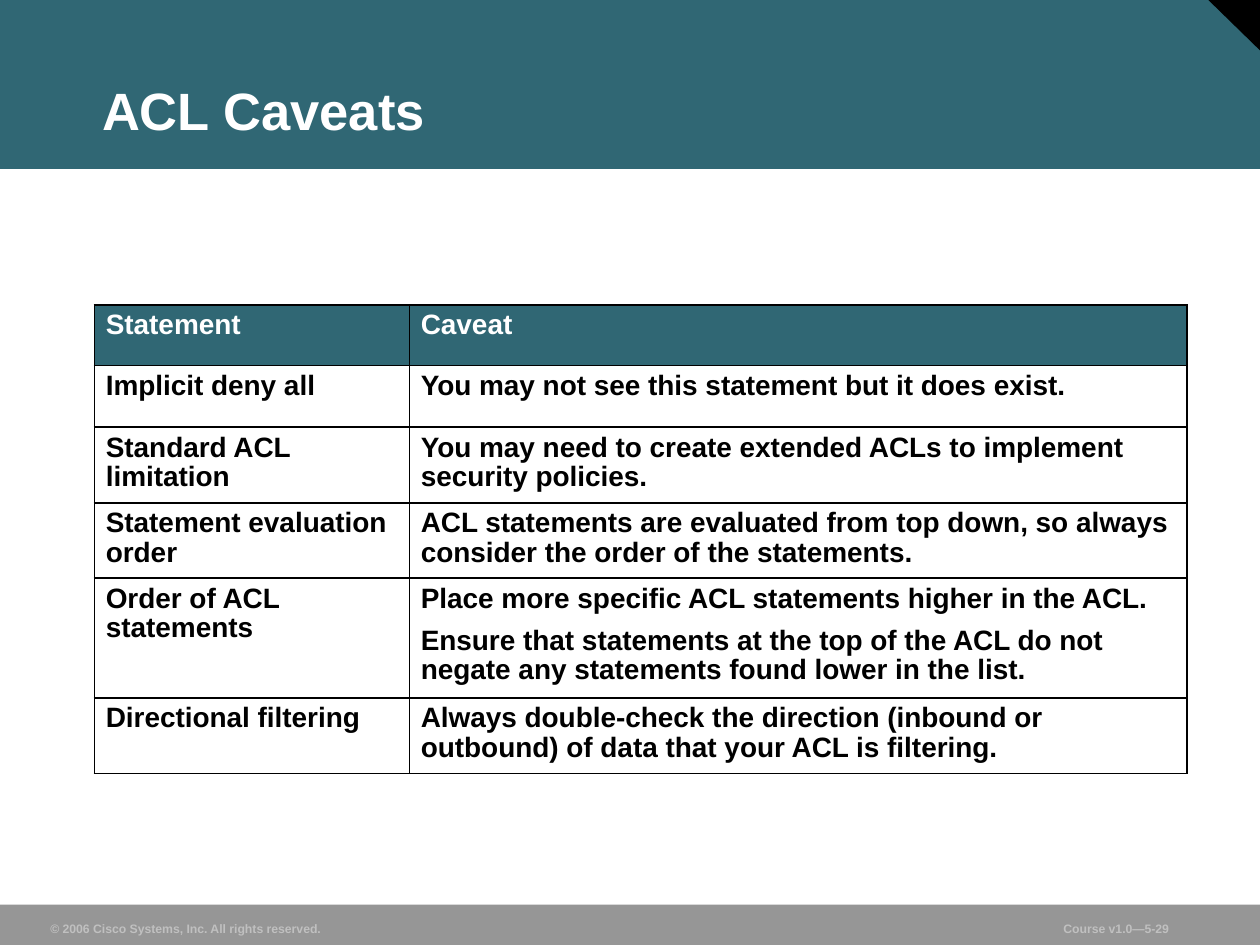
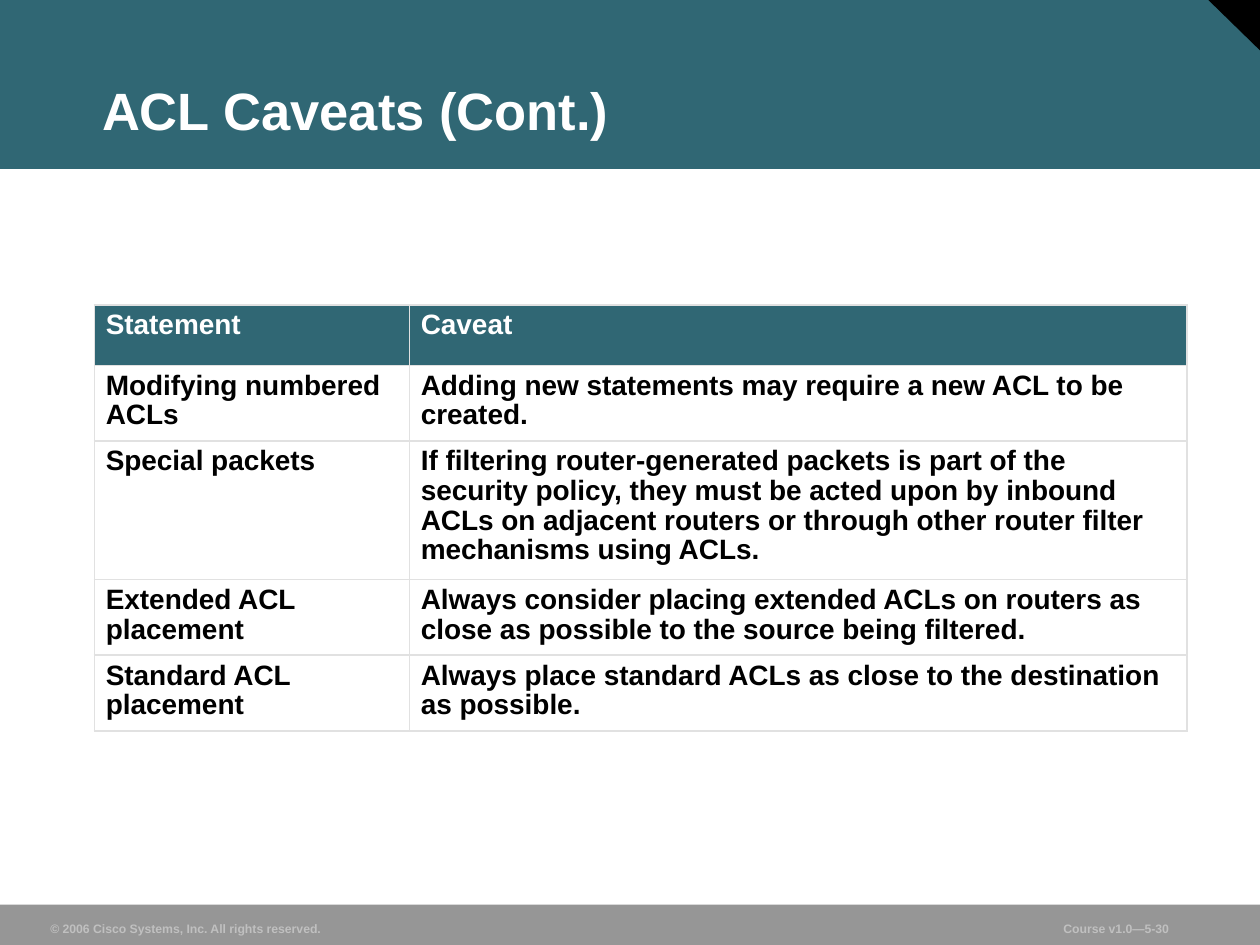
from dataclasses import dataclass

from lxml import etree
from pptx import Presentation
from pptx.dml.color import RGBColor as RGB
from pptx.enum.shapes import MSO_SHAPE as SHAPE
from pptx.enum.text import MSO_ANCHOR as ANCHOR, MSO_AUTO_SIZE as AUTO, PP_ALIGN as ALIGN
from pptx.oxml.ns import qn
from pptx.util import Inches, Pt


@dataclass(frozen=True)
class Theme:
    font: str = "Arial"
    teal: str = "306774"
    grey: str = "969696"
    pale: str = "C0C0C0"
    white: str = "FFFFFF"
    black: str = "000000"
    light_rule: str = "E1E1E1"
    title_size: float = 30
    cell_size: float = 16
    footer_size: float = 7
    rule_width: float = 1.08


class Deck:
    TITLE_ONLY = 5

    def __init__(self, theme):
        self.theme = theme
        self.prs = Presentation()
        self.prs.slide_width, self.prs.slide_height = Inches(10), Inches(7.5)
        self.slide = None

    def start(self, title, page):
        """Add a slide with the shared bands, corner, footer and title."""
        t = self.theme
        self.slide = self.prs.slides.add_slide(self.prs.slide_layouts[self.TITLE_ONLY])
        self.shape(SHAPE.RECTANGLE, 0, 0, 10, 1.34, t.teal)
        corner = self.shape(SHAPE.RIGHT_TRIANGLE, 9.58, -0.01, 0.42, 0.41, t.black)
        corner.rotation = 180
        self.shape(SHAPE.RECTANGLE, 0, 7.18, 10, 0.33, t.grey)
        self.footer("© 2006 Cisco Systems, Inc. All rights reserved.", 0.31, 2.33)
        self.footer(f"Course v1.0—{page}", 8.35, 1.3)
        self.title(title)

    def place(self, sp, left, top, width, height):
        sp.left, sp.top = Inches(left), Inches(top)
        sp.width, sp.height = Inches(width), Inches(height)

    def shape(self, kind, left, top, width, height, color):
        sp = self.slide.shapes.add_shape(kind, *map(Inches, (left, top, width, height)))
        sp.shadow.inherit = False
        sp.fill.solid()
        sp.fill.fore_color.rgb = RGB.from_string(color)
        sp.line.fill.background()
        return sp

    def frame(self, tf, wrap, auto_size):
        tf.word_wrap, tf.auto_size = wrap, auto_size
        tf.vertical_anchor = ANCHOR.BOTTOM
        tf.margin_left = tf.margin_right = Inches(0.09)
        tf.margin_top = tf.margin_bottom = Inches(0.04)

    def text(self, p, text, size, color, spacing=1.0):
        p.alignment, p.line_spacing = ALIGN.LEFT, spacing
        r = p.add_run()
        r.text = text
        r.font.name, r.font.size, r.font.bold = self.theme.font, Pt(size), True
        r.font.color.rgb = RGB.from_string(color)

    def title(self, text):
        sp = self.slide.shapes.title
        # Bring the title in front of the band
        sp.element.getparent().append(sp.element)
        self.place(sp, 0.72, 0.25, 8.91, 0.92)
        self.frame(sp.text_frame, True, AUTO.NONE)
        self.text(sp.text_frame.paragraphs[0], text,
                  self.theme.title_size, self.theme.white, 0.9)

    def footer(self, text, left, width):
        sp = self.slide.shapes.add_textbox(*map(Inches, (left, 7.26, width, 0.21)))
        self.frame(sp.text_frame, False, AUTO.SHAPE_TO_FIT_TEXT)
        self.text(sp.text_frame.paragraphs[0], text,
                  self.theme.footer_size, self.theme.pale)

    def table(self, rows, heights, rule_color):
        """Each row is a statement followed by its caveat paragraphs."""
        widths = (2.5, 6.17)
        rows = [("Statement", "Caveat"), *rows]
        sp = self.slide.shapes.add_table(
            len(rows), len(widths), Inches(0.75), Inches(2.42),
            Inches(sum(widths)), Inches(sum(heights)))
        table = sp.table
        table.horz_banding = False
        for column, width in zip(table.columns, widths):
            column.width = Inches(width)
        for i, ((statement, *caveats), height) in enumerate(zip(rows, heights)):
            table.rows[i].height = Inches(height)
            for j, lines in enumerate(([statement], caveats)):
                self.cell(table.cell(i, j), lines, i == 0, rule_color)

    def cell(self, cell, lines, is_header, rule_color):
        t = self.theme
        cell.margin_left = cell.margin_right = Inches(0.09)
        cell.margin_top = cell.margin_bottom = Inches(0.05)
        cell.vertical_anchor = ANCHOR.TOP
        self.borders(cell, rule_color)
        if is_header:
            cell.fill.solid()
            cell.fill.fore_color.rgb = RGB.from_string(t.teal)
        else:
            cell.fill.background()
        tf = cell.text_frame
        for k, line in enumerate(lines):
            p = tf.add_paragraph() if k else tf.paragraphs[0]
            if k:
                p.space_before = Pt(7)
            self.text(p, line, t.cell_size, t.white if is_header else t.black, 0.95)

    def borders(self, cell, color):
        tc_pr = cell._tc.get_or_add_tcPr()
        for side in ("a:lnL", "a:lnR", "a:lnT", "a:lnB"):
            ln = etree.SubElement(tc_pr, qn(side), w=str(Pt(self.theme.rule_width)))
            fill = etree.SubElement(ln, qn("a:solidFill"))
            etree.SubElement(fill, qn("a:srgbClr"), val=color)


def main():
    theme = Theme()
    deck = Deck(theme)

    # General caveats
    deck.start("ACL Caveats", "5-29")
    deck.table([
        ("Implicit deny all", "You may not see this statement but it does exist."),
        ("Standard ACL limitation",
         "You may need to create extended ACLs to implement security policies."),
        ("Statement evaluation order",
         "ACL statements are evaluated from top down, so always consider "
         "the order of the statements."),
        ("Order of ACL statements",
         "Place more specific ACL statements higher in the ACL.",
         "Ensure that statements at the top of the ACL do not negate any "
         "statements found lower in the list."),
        ("Directional filtering",
         "Always double-check the direction (inbound or outbound) of data "
         "that your ACL is filtering."),
    ], (0.48, 0.49, 0.6, 0.6, 0.95, 0.6), theme.black)

    # Modification and placement caveats
    deck.start("ACL Caveats (Cont.)", "5-30")
    deck.table([
        ("Modifying numbered ACLs",
         "Adding new statements may require a new ACL to be created."),
        ("Special packets",
         "If filtering router-generated packets is part of the security policy, "
         "they must be acted upon by inbound ACLs on adjacent routers or through "
         "other router filter mechanisms using ACLs."),
        ("Extended ACL placement",
         "Always consider placing extended ACLs on routers as close as possible "
         "to the source being filtered."),
        ("Standard ACL placement",
         "Always place standard ACLs as close to the destination as possible."),
    ], (0.48, 0.6, 1.1, 0.6, 0.6), theme.light_rule)

    deck.prs.save("out.pptx")


if __name__ == "__main__":
    main()
